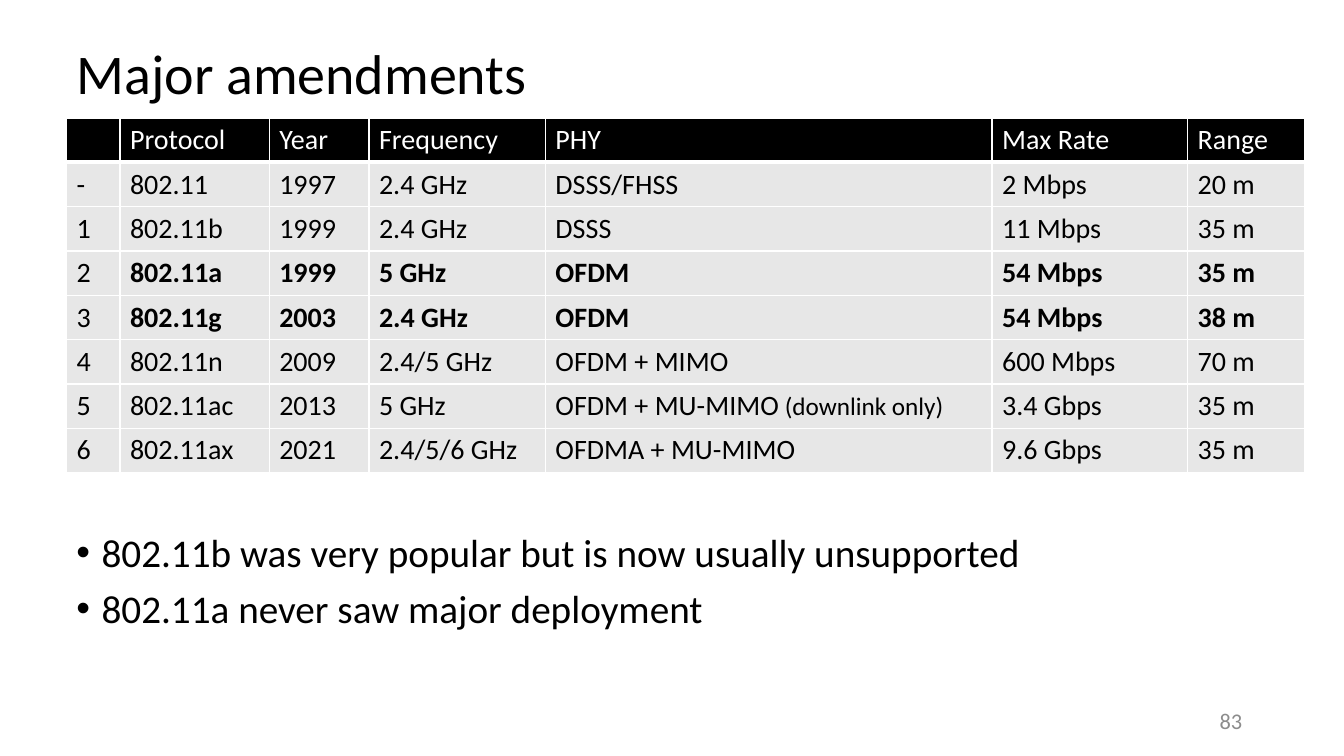
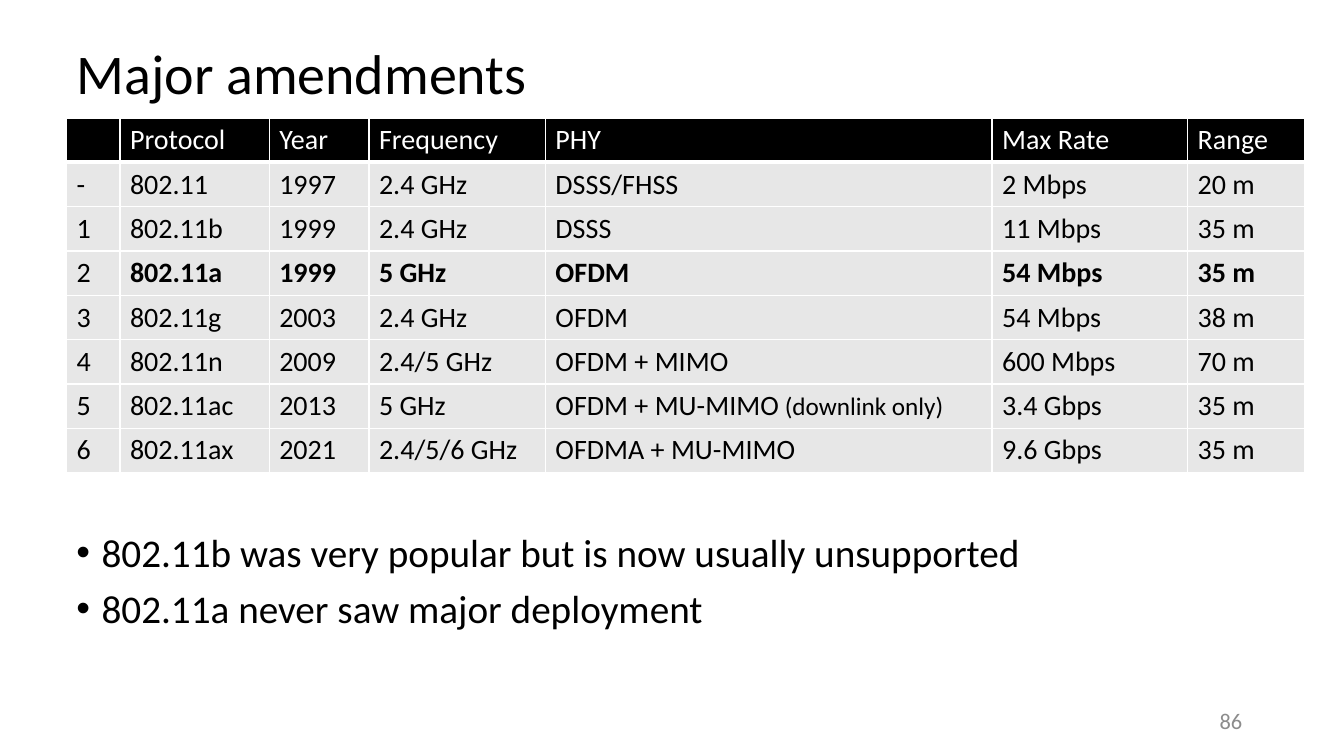
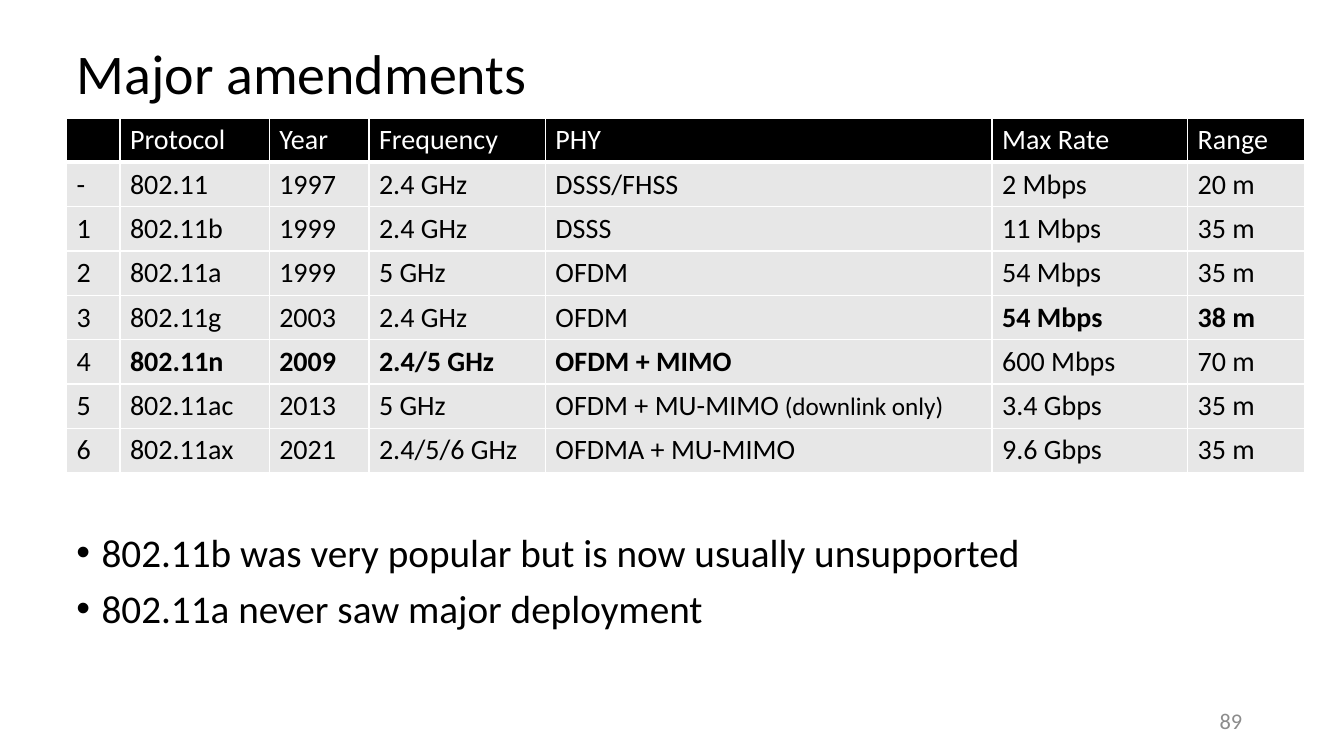
from lxml import etree
from pptx import Presentation
from pptx import util as u
from pptx.dml.color import RGBColor
from pptx.enum import text
from pptx.oxml.ns import qn

BLACK = RGBColor(0x00, 0x00, 0x00)
WHITE = RGBColor(0xFF, 0xFF, 0xFF)
CELL_GRAY = RGBColor(0xE7, 0xE7, 0xE7)
NUMBER_GRAY = RGBColor(0x8C, 0x8C, 0x8C)
FONT = "Calibri"

# Shared grid, in inches
LEFT = 0.66
COLUMN_WIDTHS = [0.53, 1.48, 0.99, 1.75, 4.43, 1.94, 1.16]
ROW_HEIGHT = 0.44

# Shared content; a tuple adds a smaller remark to a cell
TITLE = "Major amendments"
ROWS = [
    ["", "Protocol", "Year", "Frequency", "PHY", "Max Rate", "Range"],
    ["-", "802.11", "1997", "2.4 GHz", "DSSS/FHSS", "2 Mbps", "20 m"],
    ["1", "802.11b", "1999", "2.4 GHz", "DSSS", "11 Mbps", "35 m"],
    ["2", "802.11a", "1999", "5 GHz", "OFDM", "54 Mbps", "35 m"],
    ["3", "802.11g", "2003", "2.4 GHz", "OFDM", "54 Mbps", "38 m"],
    ["4", "802.11n", "2009", "2.4/5 GHz", "OFDM + MIMO", "600 Mbps", "70 m"],
    ["5", "802.11ac", "2013", "5 GHz", ("OFDM + MU-MIMO", " (downlink only)"), "3.4 Gbps", "35 m"],
    ["6", "802.11ax", "2021", "2.4/5/6 GHz", "OFDMA + MU-MIMO", "9.6 Gbps", "35 m"],
]
BULLETS = [
    "802.11b was very popular but is now usually unsupported",
    "802.11a never saw major deployment",
]

# Page number, and the bold columns of each emphasised row
PAGES = [
    (83, {3: range(1, 7), 4: range(1, 7)}),
    (86, {3: range(1, 7)}),
    (89, {4: range(5, 7), 5: range(1, 5)}),
]


def style(para, size, color, bold=False):
    para.font.name = FONT
    para.font.size = u.Pt(size)
    para.font.color.rgb = color
    para.font.bold = bold


def add_borders(cell, bottom_width):
    properties = cell._tc.get_or_add_tcPr()
    for side, width in (("L", 1), ("R", 1), ("T", 1), ("B", bottom_width)):
        line = etree.SubElement(properties, qn(f"a:ln{side}"), w=str(u.Pt(width)))
        fill = etree.SubElement(line, qn("a:solidFill"))
        etree.SubElement(fill, qn("a:srgbClr"), val=str(WHITE))


deck = Presentation()
deck.slide_width, deck.slide_height = u.Inches(13.33), u.Inches(7.5)
title_only = deck.slide_layouts[5]

for number, bold_cells in PAGES:
    page = deck.slides.add_slide(title_only)

    # Title
    title = page.shapes.title
    title.left, title.top = u.Inches(LEFT), u.Inches(0.03)
    title.width, title.height = u.Inches(11.5), u.Inches(1.45)
    title.text_frame.text = TITLE
    title.text_frame.vertical_anchor = text.MSO_ANCHOR.MIDDLE
    para = title.text_frame.paragraphs[0]
    para.alignment = text.PP_ALIGN.LEFT
    para.line_spacing = 0.9
    style(para, 40, BLACK)

    # Bullets
    box = page.shapes.add_textbox(u.Inches(LEFT), u.Inches(5.24), u.Inches(12), u.Inches(2.11))
    box.text_frame.word_wrap = True
    box.text_frame.text = "\n".join(BULLETS)
    for index, para in enumerate(box.text_frame.paragraphs):
        properties = para._p.get_or_add_pPr()
        properties.set("marL", str(u.Inches(0.25)))
        properties.set("indent", str(-u.Inches(0.25)))
        etree.SubElement(properties, qn("a:buFont"), typeface="Arial")
        etree.SubElement(properties, qn("a:buChar"), char="•")
        para.line_spacing = 0.9
        if index:
            para.space_before = u.Pt(10)
        style(para, 28, BLACK)

    # Page number
    box = page.shapes.add_textbox(u.Inches(9.42), u.Inches(6.95), u.Inches(3), u.Inches(0.4))
    box.text_frame.word_wrap = True
    box.text_frame.vertical_anchor = text.MSO_ANCHOR.MIDDLE
    box.text_frame.text = str(number)
    para = box.text_frame.paragraphs[0]
    para.alignment = text.PP_ALIGN.RIGHT
    style(para, 16, NUMBER_GRAY)

    # Table of amendments
    table = page.shapes.add_table(
        len(ROWS), len(COLUMN_WIDTHS), u.Inches(LEFT), u.Inches(1.17),
        u.Inches(sum(COLUMN_WIDTHS)), u.Inches(ROW_HEIGHT * len(ROWS))).table
    table.horz_banding = False
    for column, width in zip(table.columns, COLUMN_WIDTHS):
        column.width = u.Inches(width)
    for row, values in enumerate(ROWS):
        header = row == 0
        table.rows[row].height = u.Inches(ROW_HEIGHT)
        for column, value in enumerate(values):
            cell = table.cell(row, column)
            add_borders(cell, 3 if header else 1)
            cell.fill.solid()
            cell.fill.fore_color.rgb = BLACK if header else CELL_GRAY
            para = cell.text_frame.paragraphs[0]
            style(para, 20, WHITE if header else BLACK, column in bold_cells.get(row, ()))
            label, *remarks = value if isinstance(value, tuple) else (value,)
            if label:
                para.add_run().text = label
            for remark in remarks:
                span = para.add_run()
                span.text = remark
                span.font.size = u.Pt(18)

deck.save("out.pptx")
